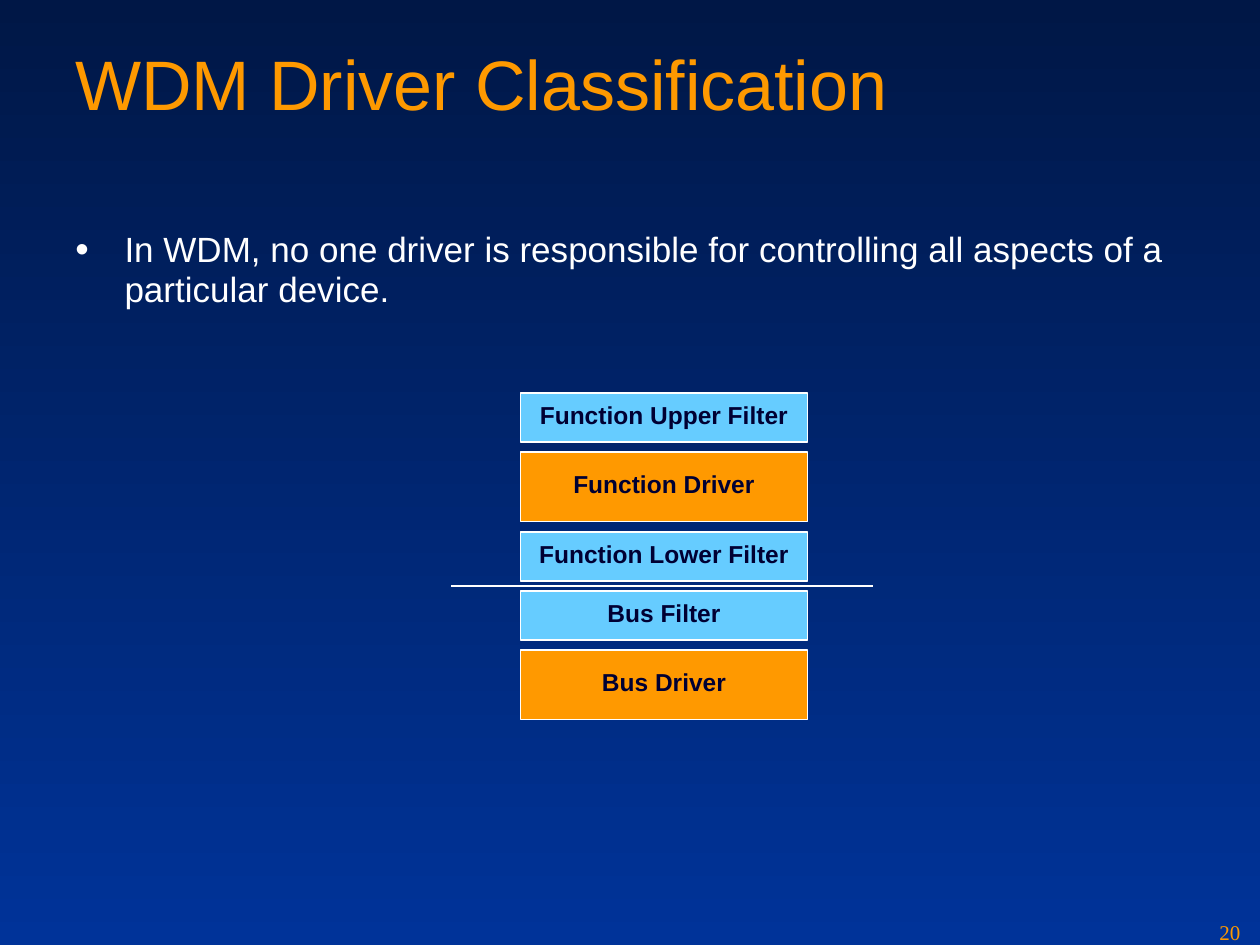
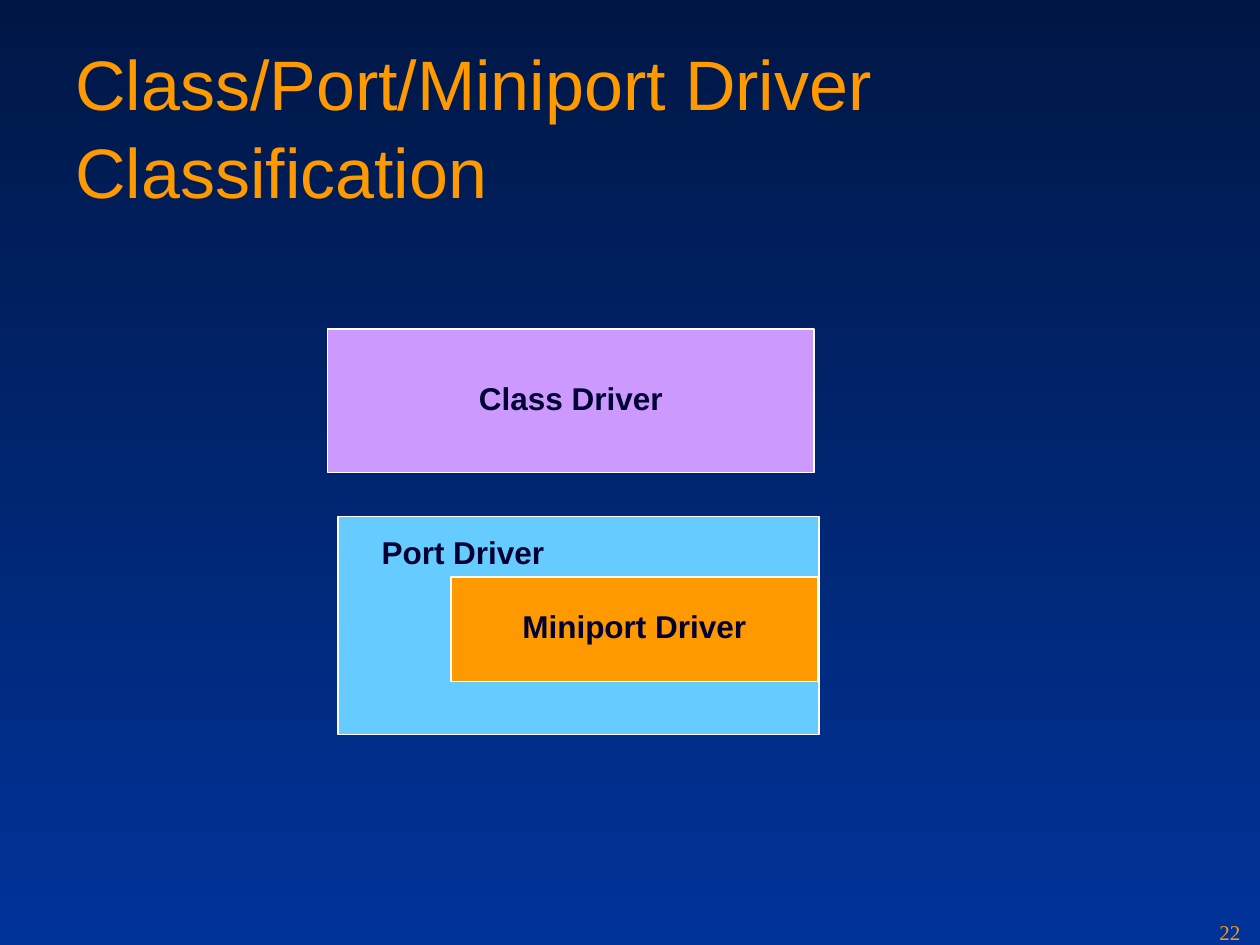
from dataclasses import dataclass

from lxml import etree
from pptx import Presentation
from pptx.dml.color import RGBColor
from pptx.enum.shapes import MSO_CONNECTOR, MSO_SHAPE
from pptx.enum.text import MSO_ANCHOR, PP_ALIGN
from pptx.oxml.ns import qn
from pptx.util import Inches, Pt

RECT = MSO_SHAPE.RECTANGLE
STRAIGHT = MSO_CONNECTOR.STRAIGHT
TOP, MIDDLE = MSO_ANCHOR.TOP, MSO_ANCHOR.MIDDLE
LEFT, CENTER = PP_ALIGN.LEFT, PP_ALIGN.CENTER
BLANK = 6


@dataclass(frozen=True)
class Theme:
    night: str = "001746"
    blue: str = "003399"
    gold: str = "FE9900"
    white: str = "FFFFFF"
    ink: str = "000033"
    orange: str = "FF9900"
    sky: str = "66CCFF"
    violet: str = "CC99FF"
    sans: str = "Arial"
    serif: str = "Times New Roman"
    title: int = 40
    body: int = 20
    large: int = 18
    small: int = 14
    number: int = 12
    line: int = 1


THEME = Theme()


def color(code):
    return RGBColor.from_string(code)


def style(para, size, code, font=THEME.sans, bold=False):
    for run in para.runs:
        run.font.name = font
        run.font.size = Pt(size)
        run.font.bold = bold
        run.font.color.rgb = color(code)


def add_text(slide, text, left, top, width, height, wrap=True):
    """Add a top-aligned text box and return its frame."""
    box = slide.shapes.add_textbox(Inches(left), Inches(top),
                                   Inches(width), Inches(height))
    frame = box.text_frame
    frame.word_wrap = wrap
    frame.vertical_anchor = TOP
    frame.text = text
    return frame


def add_title(slide, text):
    para = add_text(slide, text, 0.5, 0.24, 9, 1.25).paragraphs[0]
    para.line_spacing = 1.05
    style(para, THEME.title, THEME.gold)


def add_number(slide, number):
    frame = add_text(slide, str(number), 9.58, 7.25, 0.42, 0.25)
    style(frame.paragraphs[0], THEME.number, THEME.gold, THEME.serif)


def add_bullet(slide, text, left, top, width, height):
    para = add_text(slide, text, left, top, width, height).paragraphs[0]
    para.line_spacing = 0.95
    props = para._p.get_or_add_pPr()
    props.set("marL", str(Inches(0.39)))
    props.set("indent", str(-Inches(0.39)))
    tint = etree.SubElement(props, qn("a:buClr"))
    etree.SubElement(tint, qn("a:srgbClr"), val=THEME.white)
    etree.SubElement(props, qn("a:buSzPct"), val="110000")
    etree.SubElement(props, qn("a:buFont"), typeface=THEME.sans)
    etree.SubElement(props, qn("a:buChar"), char="•")
    style(para, THEME.body, THEME.white)


def set_label(frame, text, size, align):
    frame.word_wrap = False
    frame.margin_top = 0
    frame.text = text
    para = frame.paragraphs[0]
    para.alignment = align
    style(para, size, THEME.ink, bold=True)


def add_block(slide, left, top, width, height, fill, text="", size=THEME.large):
    block = slide.shapes.add_shape(RECT, Inches(left), Inches(top),
                                   Inches(width), Inches(height))
    block.shadow.inherit = False
    block.fill.solid()
    block.fill.fore_color.rgb = color(fill)
    block.line.color.rgb = color(THEME.white)
    block.line.width = Pt(THEME.line)
    if text:
        block.text_frame.vertical_anchor = MIDDLE
        set_label(block.text_frame, text, size, CENTER)


def add_rule(slide, left, right, top):
    rule = slide.shapes.add_connector(STRAIGHT, Inches(left), Inches(top),
                                      Inches(right), Inches(top))
    rule.line.color.rgb = color(THEME.white)
    rule.line.width = Pt(THEME.line)
    etree.SubElement(rule._element.spPr, qn("a:effectLst"))


def add_slide(deck, title, number):
    """Add a slide with the shared backdrop, title and number."""
    slide = deck.slides.add_slide(deck.slide_layouts[BLANK])
    fill = slide.background.fill
    fill.gradient()
    fill.gradient_angle = 270
    for stop, code in zip(fill.gradient_stops, (THEME.night, THEME.blue)):
        stop.color.rgb = color(code)
    add_title(slide, title)
    add_number(slide, number)
    return slide


def add_stack(slide):
    """Stack the drivers, with a rule between function and bus layers."""
    thin, thick, gap = 0.39, 0.55, 0.08
    layers = (("Function Upper Filter", thin, THEME.sky),
              ("Function Driver", thick, THEME.orange),
              ("Function Lower Filter", thin, THEME.sky),
              ("Bus Filter", thin, THEME.sky),
              ("Bus Driver", thick, THEME.orange))
    top = 3.12
    for name, height, fill in layers:
        if name == "Bus Filter":
            add_rule(slide, 3.58, 6.93, top - gap / 2)
        add_block(slide, 4.13, top, 2.28, height, fill, name, THEME.small)
        top += height + gap


def add_ports(slide):
    add_block(slide, 2.68, 4.1, 3.82, 1.73, THEME.sky)
    add_block(slide, 3.58, 4.58, 2.91, 0.83, THEME.orange, "Miniport Driver")
    label = "Port Driver"
    frame = add_text(slide, label, 2.93, 4.23, 1.49, 0.35, wrap=False)
    set_label(frame, label, THEME.large, LEFT)
    add_block(slide, 2.6, 2.61, 3.86, 1.14, THEME.violet, "Class Driver")


def main():
    deck = Presentation()
    deck.slide_width, deck.slide_height = Inches(10), Inches(7.5)

    slide = add_slide(deck, "WDM Driver Classification", 20)
    add_bullet(slide, "In WDM, no one driver is responsible for controlling "
               "all aspects of a particular device.", 0.5, 1.78, 9, 0.91)
    add_stack(slide)

    slide = add_slide(deck, "Class/Port/Miniport Driver Classification", 22)
    add_ports(slide)

    deck.save("out.pptx")


if __name__ == "__main__":
    main()
